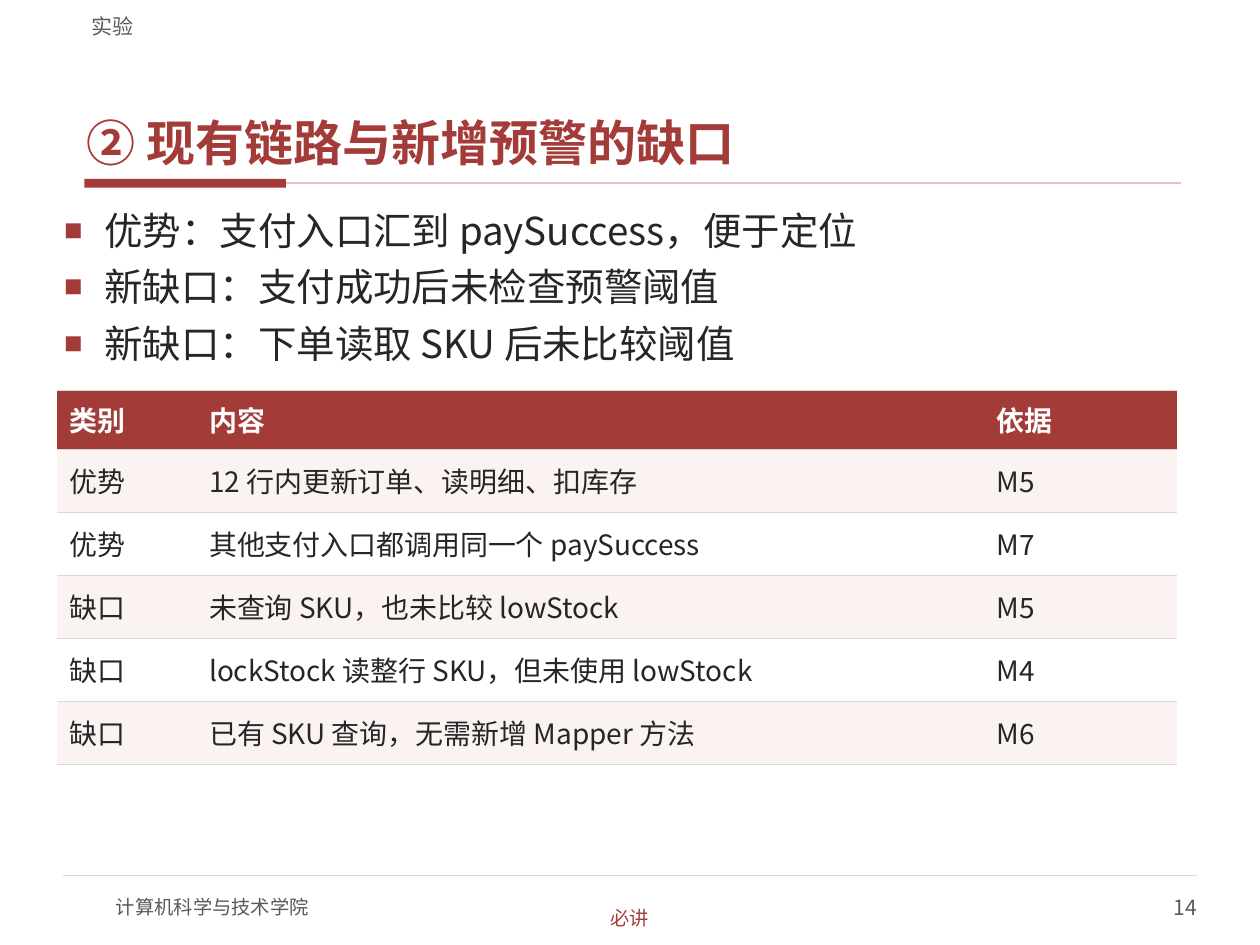
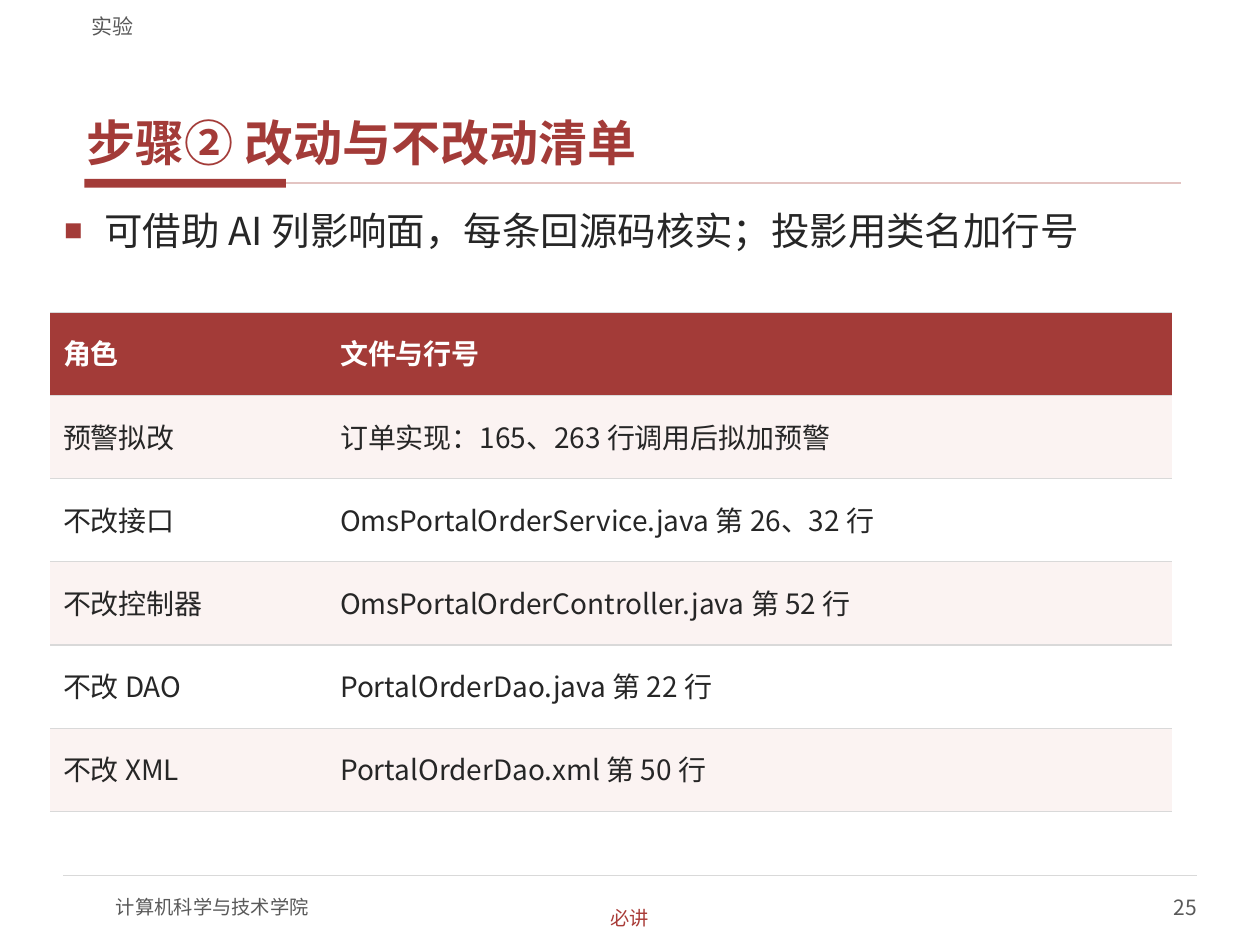
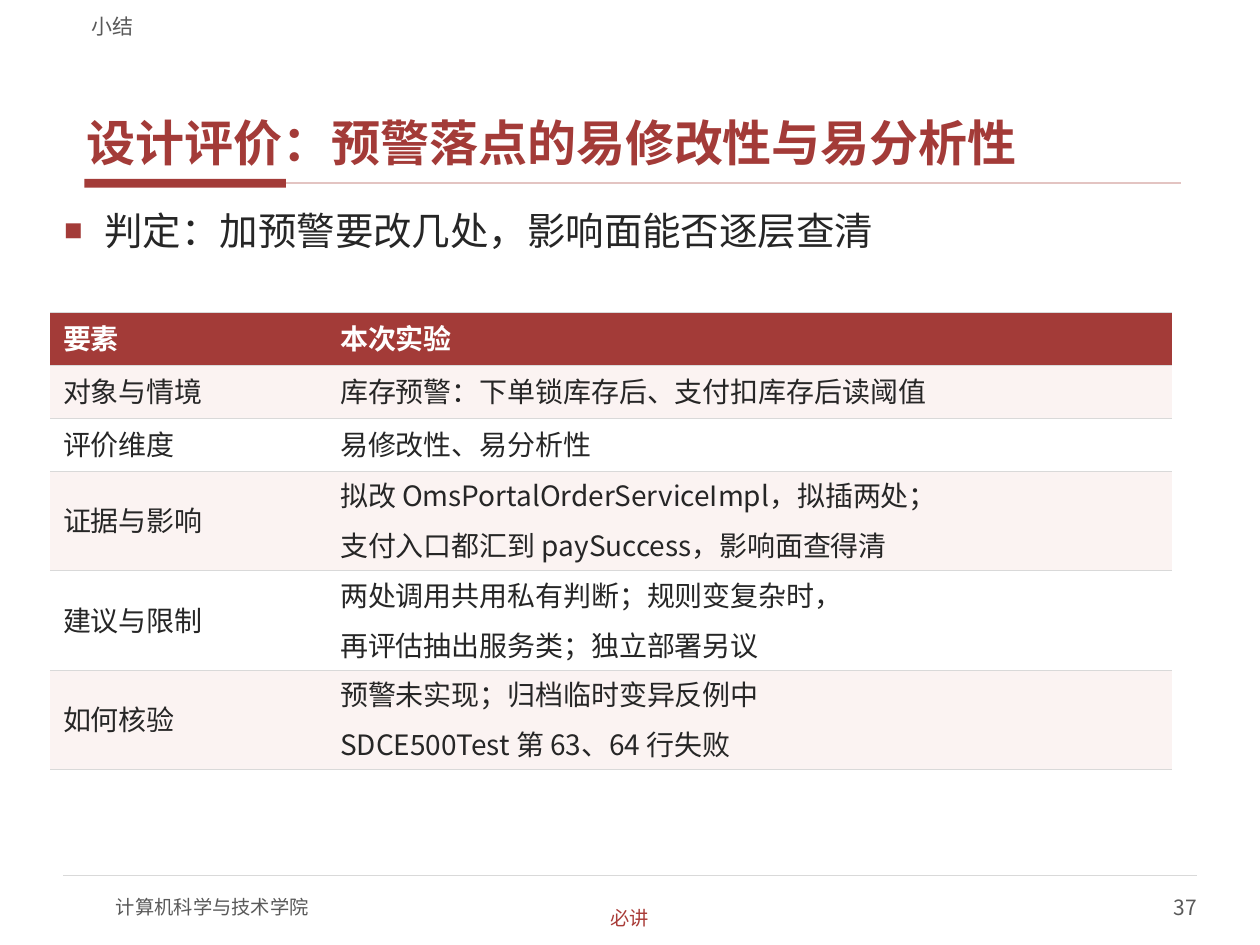
"""Build three lab-course slides, each with a bullet list and a banded table."""
from dataclasses import dataclass

from lxml.etree import SubElement
from pptx import Presentation
from pptx.dml.color import RGBColor
from pptx.enum.shapes import MSO_CONNECTOR, MSO_SHAPE
from pptx.enum.text import MSO_ANCHOR, PP_ALIGN
from pptx.oxml.ns import qn
from pptx.util import Inches, Pt


@dataclass(frozen=True)
class Theme:
    font: str = "Noto Sans CJK SC"
    bullet_font: str = "Arial"
    accent: str = "A33B38"
    badge: str = "A93B37"
    title_line: str = "E3C4C2"
    rule: str = "D9D9D9"
    ink: str = "262626"
    muted: str = "595959"
    white: str = "FFFFFF"
    band: str = "FBF3F2"
    title_size: int = 28
    bullet_size: int = 22
    table_size: int = 16
    label_size: int = 12
    footer_size: int = 11


THEME = Theme()
FOOTER = "计算机科学与技术学院"
BADGE = "必讲"

SLIDES = [
    {
        "section": "实验",
        "number": 14,
        "title": "② 现有链路与新增预警的缺口",
        "bullets": [
            "优势：支付入口汇到 paySuccess，便于定位",
            "新缺口：支付成功后未检查预警阈值",
            "新缺口：下单读取 SKU 后未比较阈值",
        ],
        "bullet_height": 1.37,
        "table_at": (0.45, 3.1),
        "columns": [1.11, 6.25, 1.53],
        "heights": [0.47] + [0.5] * 5,
        "rows": [
            ("类别", "内容", "依据"),
            ("优势", "12 行内更新订单、读明细、扣库存", "M5"),
            ("优势", "其他支付入口都调用同一个 paySuccess", "M7"),
            ("缺口", "未查询 SKU，也未比较 lowStock", "M5"),
            ("缺口", "lockStock 读整行 SKU，但未使用 lowStock", "M4"),
            ("缺口", "已有 SKU 查询，无需新增 Mapper 方法", "M6"),
        ],
    },
    {
        "section": "实验",
        "number": 25,
        "title": "步骤② 改动与不改动清单",
        "bullets": ["可借助 AI 列影响面，每条回源码核实；投影用类名加行号"],
        "bullet_height": 0.78,
        "table_at": (0.4, 2.48),
        "columns": [2.2, 6.7],
        "heights": [0.66] * 6,
        "rows": [
            ("角色", "文件与行号"),
            ("预警拟改", "订单实现：165、263 行调用后拟加预警"),
            ("不改接口", "OmsPortalOrderService.java 第 26、32 行"),
            ("不改控制器", "OmsPortalOrderController.java 第 52 行"),
            ("不改 DAO", "PortalOrderDao.java 第 22 行"),
            ("不改 XML", "PortalOrderDao.xml 第 50 行"),
        ],
    },
    {
        "section": "小结",
        "number": 37,
        "title": "设计评价：预警落点的易修改性与易分析性",
        "bullets": ["判定：加预警要改几处，影响面能否逐层查清"],
        "bullet_height": 0.78,
        "table_at": (0.4, 2.48),
        "columns": [2.2, 6.7],
        "heights": [0.42] * 3 + [0.79] * 3,
        "rows": [
            ("要素", "本次实验"),
            ("对象与情境", "库存预警：下单锁库存后、支付扣库存后读阈值"),
            ("评价维度", "易修改性、易分析性"),
            ("证据与影响", "拟改 OmsPortalOrderServiceImpl，拟插两处；\n"
                      "支付入口都汇到 paySuccess，影响面查得清"),
            ("建议与限制", "两处调用共用私有判断；规则变复杂时，\n"
                      "再评估抽出服务类；独立部署另议"),
            ("如何核验", "预警未实现；归档临时变异反例中\n"
                     "SDCE500Test 第 63、64 行失败"),
        ],
    },
]


def rgb(color):
    return RGBColor.from_string(color)


def set_font(p, size, color, bold=False):
    p.font.size = Pt(size)
    p.font.bold = bold
    p.font.color.rgb = rgb(color)
    p.font.name = THEME.font
    props = p._p.get_or_add_pPr().find(qn("a:defRPr"))
    SubElement(props, qn("a:ea"), typeface=THEME.font)


def add_bullet(p):
    props = p._p.get_or_add_pPr()
    props.set("marL", str(Inches(0.32)))
    props.set("indent", str(-Inches(0.32)))
    color = SubElement(props, qn("a:buClr"))
    SubElement(color, qn("a:srgbClr"), val=THEME.accent)
    SubElement(props, qn("a:buSzPct"), val="80000")
    SubElement(props, qn("a:buFont"), typeface=THEME.bullet_font)
    SubElement(props, qn("a:buChar"), char="■")


def fill_text(tf, text, size, color, bold=False, align=PP_ALIGN.LEFT,
              before=0, after=0, spacing=None, bullet=False):
    tf.text = text
    for i, p in enumerate(tf.paragraphs):
        p.alignment = align
        p.space_before = Pt(before if i else 0)
        p.space_after = Pt(after)
        if spacing:
            p.line_spacing = spacing
        if bullet:
            add_bullet(p)
        set_font(p, size, color, bold)


def add_text(s, at, text, size, color, anchor=MSO_ANCHOR.MIDDLE,
             inset=(0, 0), wrap=True, **style):
    tf = s.shapes.add_textbox(*map(Inches, at)).text_frame
    tf.word_wrap = wrap
    tf.vertical_anchor = anchor
    tf.margin_left = tf.margin_right = Inches(inset[0])
    tf.margin_top = tf.margin_bottom = Inches(inset[1])
    fill_text(tf, text, size, color, **style)


def add_line(s, x1, x2, y, color, width):
    line = s.shapes.add_connector(MSO_CONNECTOR.STRAIGHT, *map(Inches, (x1, y, x2, y)))
    line.line.color.rgb = rgb(color)
    line.line.width = Pt(width)
    SubElement(line._element.spPr, qn("a:effectLst"))
    return line


def add_frame(s, section, number, title):
    x, y, w, h = 0.67, 1.42, 1.6, 0.07
    bar = s.shapes.add_shape(MSO_SHAPE.RECTANGLE, *map(Inches, (x, y, w, h)))
    bar.shadow.inherit = False
    bar.fill.solid()
    bar.fill.fore_color.rgb = rgb(THEME.accent)
    bar.line.fill.background()
    add_line(s, x + w, 9.37, y + h / 2, THEME.title_line, 1).begin_connect(bar, 3)
    add_line(s, 0.5, 9.5, 6.95, THEME.rule, 0.75)
    add_text(s, (0.92, 7, 4, 0.4), FOOTER, THEME.footer_size, THEME.muted)
    add_text(s, (7.5, 7, 2, 0.4), str(number), THEME.label_size, THEME.muted,
             align=PP_ALIGN.RIGHT)
    add_text(s, (0.63, 0.33, 8.75, 1.05), title, THEME.title_size, THEME.accent,
             MSO_ANCHOR.BOTTOM, (0.06, 0.02), bold=True, after=2)
    add_text(s, (0.63, 0.04, 8.75, 0.27), section, THEME.label_size, THEME.muted,
             MSO_ANCHOR.BOTTOM, (0.1, 0))
    add_text(s, (4.4, 7.18, 1.2, 0.21), BADGE, THEME.footer_size, THEME.badge,
             wrap=False, align=PP_ALIGN.CENTER)


def set_borders(cell):
    props = cell._tc.get_or_add_tcPr()
    for side in ("lnL", "lnR"):
        SubElement(SubElement(props, qn(f"a:{side}"), w="0"), qn("a:noFill"))
    for side in ("lnT", "lnB"):
        edge = SubElement(props, qn(f"a:{side}"), w=str(Pt(0.75)))
        SubElement(SubElement(edge, qn("a:solidFill")), qn("a:srgbClr"), val=THEME.rule)


def add_grid(s, at, columns, heights, rows):
    size = (sum(columns), sum(heights))
    table = s.shapes.add_table(len(rows), len(columns), *map(Inches, at + size)).table
    table.first_row = table.horz_banding = False
    for column, width in zip(table.columns, columns):
        column.width = Inches(width)
    for i, (row, height, texts) in enumerate(zip(table.rows, heights, rows)):
        row.height = Inches(height)
        head = i == 0
        fill = THEME.accent if head else THEME.band if i % 2 else THEME.white
        color = THEME.white if head else THEME.ink
        for cell, text in zip(row.cells, texts):
            set_borders(cell)
            cell.fill.solid()
            cell.fill.fore_color.rgb = rgb(fill)
            cell.vertical_anchor = MSO_ANCHOR.MIDDLE
            fill_text(cell.text_frame, text, THEME.table_size, color, head,
                      before=6, after=2, spacing=0.9)


def main():
    prs = Presentation()
    prs.slide_width, prs.slide_height = Inches(10), Inches(7.5)
    for data in SLIDES:
        s = prs.slides.add_slide(prs.slide_layouts[6])
        add_frame(s, data["section"], data["number"], data["title"])
        add_text(s, (0.45, 1.62, 9.1, data["bullet_height"]), "\n".join(data["bullets"]),
                 THEME.bullet_size, THEME.ink, MSO_ANCHOR.TOP, (0.06, 0.02),
                 before=4, after=2, bullet=True)
        add_grid(s, data["table_at"], data["columns"], data["heights"], data["rows"])
    prs.save("out.pptx")


if __name__ == "__main__":
    main()
